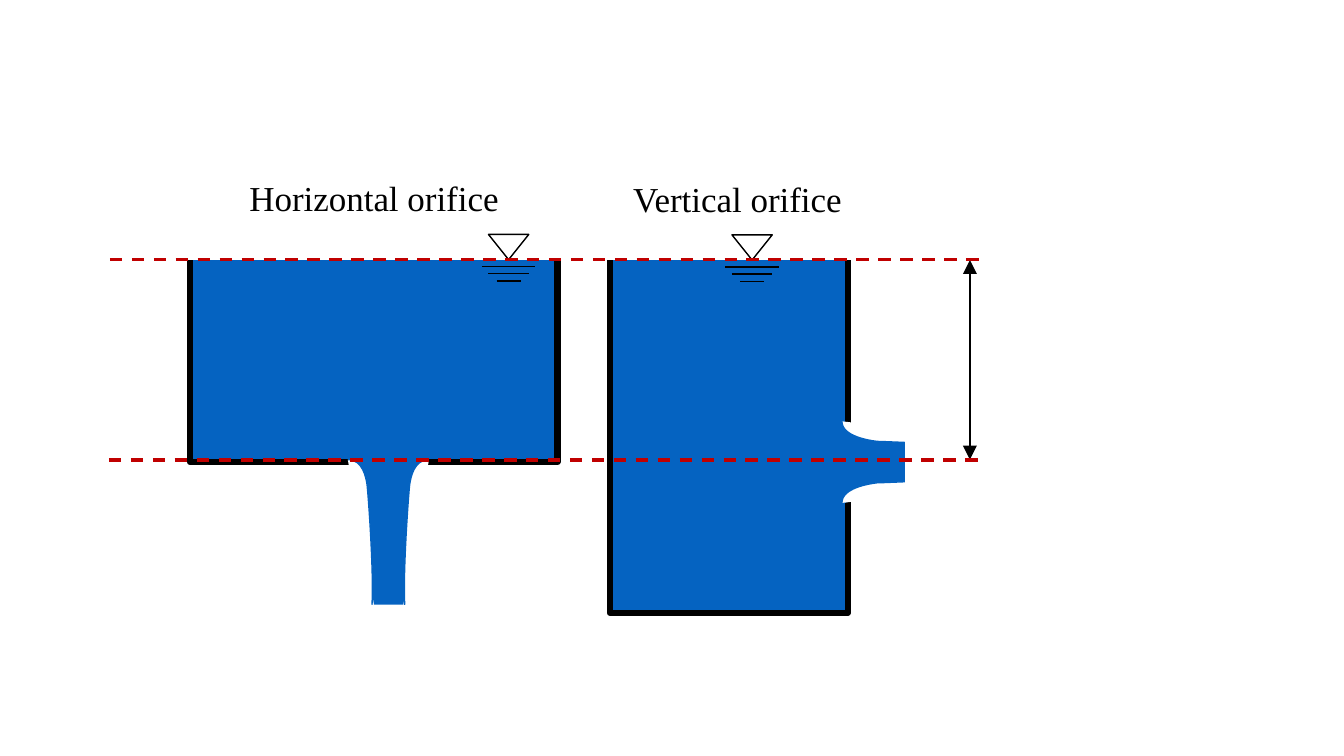
"""Draw a slide comparing a horizontal and a vertical orifice under the same head."""
from lxml.etree import SubElement
from pptx import Presentation
from pptx.dml.color import RGBColor
from pptx.enum.dml import MSO_LINE
from pptx.enum.shapes import MSO_CONNECTOR, MSO_SHAPE
from pptx.enum.text import MSO_ANCHOR, PP_ALIGN
from pptx.oxml.ns import qn
from pptx.util import Inches, Pt

WATER, WALL, PAPER, LEVEL = "0563C1", "000000", "FFFFFF", "C00000"
SURFACE, ORIFICE = 257.6, 456.4

prs = Presentation()
prs.slide_width, prs.slide_height = Inches(13.33), Inches(7.5)
CELL = prs.slide_height / 750
s = prs.slides.add_slide(prs.slide_layouts[6])


def paint(shape, fill=None, line=None, width=1):
    """Set fill and line from hex colours and drop the shadow."""
    if fill:
        shape.fill.solid()
        shape.fill.fore_color.rgb = RGBColor.from_string(fill)
    elif hasattr(shape, "fill"):
        shape.fill.background()
    if line:
        shape.line.color.rgb = RGBColor.from_string(line)
        shape.line.width = Pt(width)
    else:
        shape.line.fill.background()
    SubElement(shape._element.spPr, qn("a:effectLst"))
    return shape


def outline(points, close=False, curved=False):
    """Build a freeform through grid points, or a chain of cubic curves."""
    pts = [(x * CELL, y * CELL) for x, y in points]
    builder = s.shapes.build_freeform(*pts[0])
    builder.add_line_segments(pts[1:], close=close)
    shape = builder.convert_to_shape()
    if curved:
        route = shape._element.spPr.find(".//" + qn("a:path"))
        segments = route.findall(qn("a:lnTo"))
        for i in range(0, len(segments), 3):
            cubic = SubElement(route, qn("a:cubicBezTo"))
            for segment in segments[i:i + 3]:
                cubic.append(segment[0])
                route.remove(segment)
    return shape


tanks = [
    (188.4, 553, 458.4,
     [(346, 447), (371, 600), (400, 600), (426, 447)],
     [(345, 456), (360, 456), (363, 474), (364, 480), (365, 486), (371, 568), (369, 600)],
     lambda x, y: (770.5 - x, y)),
    (605, 841, 608,
     [(835, 500), (911, 474), (911, 444), (835, 418)],
     [(835, 499), (835, 484), (862, 480), (870, 479), (879, 479), (999, 473), (1046, 474)],
     lambda x, y: (x, 917 - y)),
]
for left, right, bottom, jet, edge, mirror in tanks:
    tank = outline([(left, 258), (left, bottom), (right, bottom), (right, 258)])
    paint(tank, WATER, WALL, 4.5)
    SubElement(tank.line._get_or_add_ln(), qn("a:round"))
    paint(outline(jet, close=True), WATER)
    for side in (edge, [mirror(x, y) for x, y in edge]):
        paint(outline(side, curved=True), PAPER, WATER)

jet_end = [round(n * CELL) for n in (898.5, 429, 154, 56)]
paint(s.shapes.add_shape(MSO_SHAPE.RECTANGLE, *jet_end), PAPER, PAPER)

for text, left, top, width in [("Horizontal orifice", 209.5, 170, 323),
                               ("Vertical orifice", 595, 171, 273)]:
    label = s.shapes.add_textbox(*[round(n * CELL) for n in (left, top, width, 52)])
    paint(label, PAPER)
    tf = label.text_frame
    tf.word_wrap = True
    tf.vertical_anchor = MSO_ANCHOR.TOP
    p = tf.paragraphs[0]
    p.alignment = PP_ALIGN.CENTER
    r = p.add_run()
    r.text = text
    for name, value in {"name": "Times New Roman", "size": Pt(25)}.items():
        setattr(r.font, name, value)
    r.font.color.rgb = RGBColor.from_string(WALL)

lines = [(962, 258, 962, 456, WALL, 1.5)]
for center, top in ((504.5, 232.6), (746, 233)):
    marker = s.shapes.add_shape(MSO_SHAPE.ISOSCELES_TRIANGLE,
                                *[round(n * CELL) for n in (center - 20, top, 40, 25)])
    paint(marker, None, WALL)
    marker._element.spPr.find(qn("a:xfrm")).set("flipV", "1")
    for row, half in enumerate((26.5, 20, 12)):
        y = top + 32 + 7 * row
        lines.append((center - half, y, center + half, y, WALL, 1))
lines += [(109, SURFACE, 979, SURFACE, LEVEL, 2.25),
          (108, ORIFICE, 978, ORIFICE, LEVEL, 2.25)]

for x1, y1, x2, y2, color, width in lines:
    line = s.shapes.add_connector(MSO_CONNECTOR.STRAIGHT,
                                  *[round(n * CELL) for n in (x1, y1, x2, y2)])
    paint(line, None, color, width)
    if color == LEVEL:
        line.line.dash_style = MSO_LINE.DASH
    if x1 == x2:
        for end in ("a:headEnd", "a:tailEnd"):
            SubElement(line.line._get_or_add_ln(), qn(end),
                       {"type": "triangle", "w": "lg", "len": "lg"})

prs.save("out.pptx")
